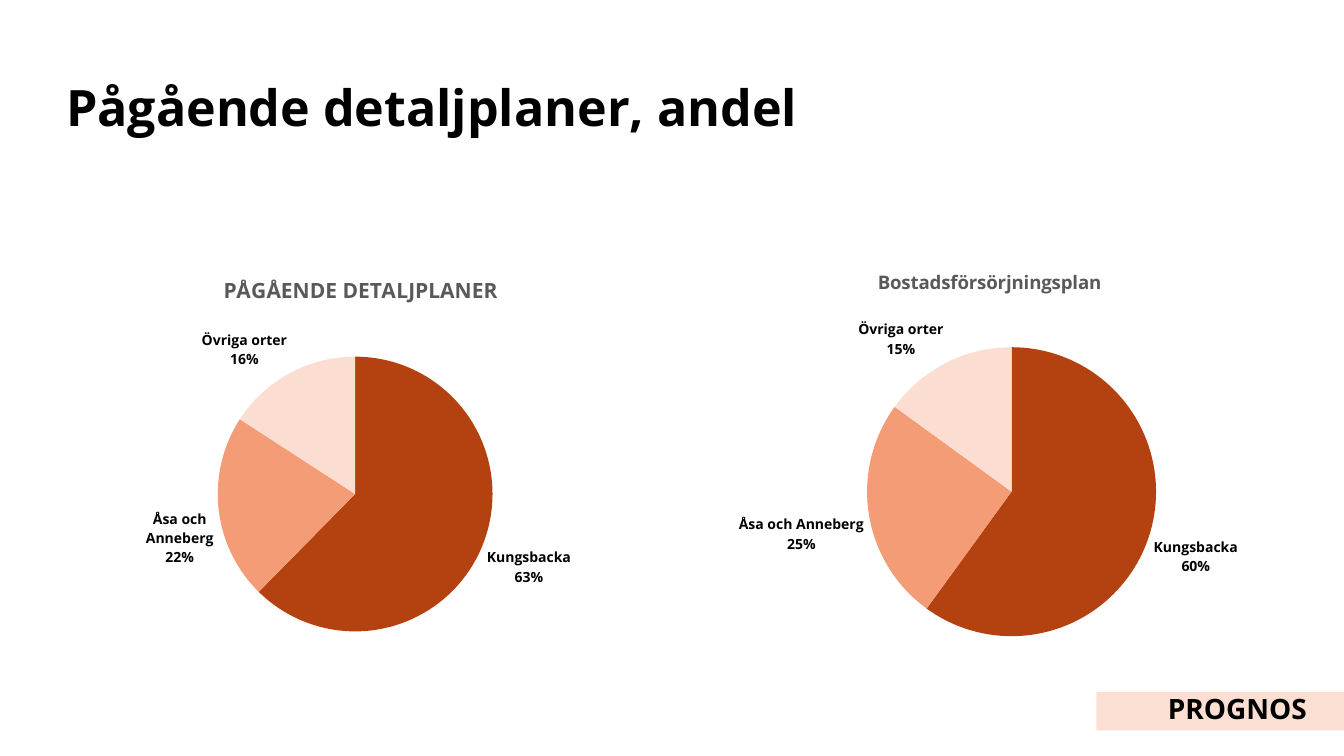
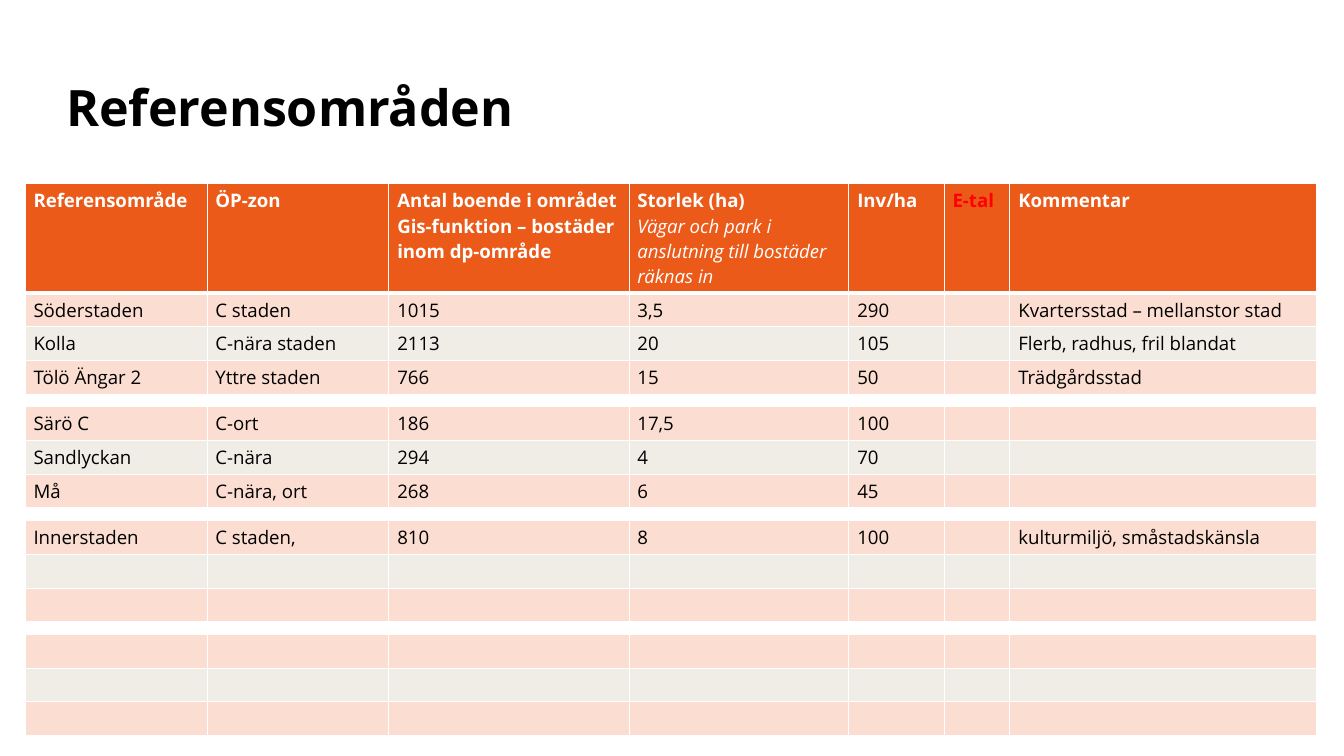
from dataclasses import dataclass

from lxml.etree import SubElement
from pptx import Presentation
from pptx.chart.data import CategoryChartData
from pptx.dml.color import RGBColor
from pptx.enum.chart import XL_CHART_TYPE, XL_LABEL_POSITION
from pptx.enum.shapes import MSO_SHAPE
from pptx.enum.text import MSO_ANCHOR, PP_ALIGN
from pptx.oxml import parse_xml
from pptx.oxml.ns import nsdecls, qn
from pptx.util import Cm, Pt


@dataclass(frozen=True)
class Theme:
    font: str = "Open Sans"
    black: str = "000000"
    white: str = "FFFFFF"
    grey: str = "595959"
    red: str = "FF0000"
    orange: str = "EB5A19"
    blush: str = "FBDED1"
    sand: str = "F0ECE6"
    banner: str = "F7BDA3"
    slices: tuple[str, ...] = ("B34210", "F39C75", "FBDED1")
    title_size: int = 43
    banner_size: int = 24
    table_size: int = 16
    label_size: int = 12
    gap_size: int = 4


@dataclass(frozen=True)
class Pie:
    """A pie chart; all lengths are centimetres on the slide."""
    title: str
    title_size: int
    percentages: tuple[int, ...]
    frame: tuple[float, float, float, float]
    title_at: tuple[float, float]
    centre: tuple[float, float]
    diameter: float


@dataclass(frozen=True)
class Column:
    heading: str
    width: float
    note: str = ""
    color: str = Theme.white


THEME = Theme()
AREAS = ("Kungsbacka", "Åsa och Anneberg", "Övriga orter")
PIES = (
    Pie("PÅGÅENDE DETALJPLANER", 18, (63, 22, 16), (1.5, 7.77, 18.82, 11.66),
        (6.65, 8.14), (10.74, 14.94), 8.31),
    Pie("Bostadsförsörjningsplan", 16, (60, 25, 15), (19.69, 7.65, 20.5, 11.94),
        (26.44, 8.01), (30.59, 14.87), 8.74),
)
COLUMNS = (
    Column("Referensområde", 5.5),
    Column("ÖP-zon", 5.5),
    Column("Antal boende i området\nGis-funktion – bostäder inom dp-område", 7.26),
    Column("Storlek (ha)", 6.65, note="Vägar och park i anslutning till bostäder räknas in"),
    Column("Inv/ha", 2.88),
    Column("E-tal", 1.99, color=THEME.red),
    Column("Kommentar", 9.28),
)
EMPTY_ROW = ("",) * len(COLUMNS)
AREA_GROUPS = (
    (
        ("Söderstaden", "C staden", "1015", "3,5", "290", "", "Kvartersstad – mellanstor stad"),
        ("Kolla", "C-nära staden", "2113", "20", "105", "", "Flerb, radhus, fril blandat"),
        ("Tölö Ängar 2", "Yttre staden", "766", "15", "50", "", "Trädgårdsstad"),
    ),
    (
        ("Särö C", "C-ort", "186", "17,5", "100", "", ""),
        ("Sandlyckan", "C-nära", "294", "4", "70", "", ""),
        ("Må", "C-nära, ort", "268", "6", "45", "", ""),
    ),
    (
        ("Innerstaden", "C staden,", "810", "8", "100", "", "kulturmiljö, småstadskänsla"),
        EMPTY_ROW,
        EMPTY_ROW,
    ),
    (EMPTY_ROW,) * 3,
)
HEADER_HEIGHT, ROW_HEIGHT, GAP_HEIGHT = 3.3, 1.02, 0.38


def set_font(font, size: int, color: str, bold: bool = False, italic: bool = False) -> None:
    font.name = THEME.font
    font.size = Pt(size)
    font.bold = bold
    font.italic = italic
    font.color.rgb = RGBColor.from_string(color)


def set_fill(fill, color: str) -> None:
    fill.solid()
    fill.fore_color.rgb = RGBColor.from_string(color)


def add_page(deck, title: str):
    page = deck.slides.add_slide(deck.slide_layouts[6])
    box = page.shapes.add_textbox(Cm(1.75), Cm(1.55), Cm(33.22), Cm(3.58))
    box.text_frame.word_wrap = True
    box.text_frame.vertical_anchor = MSO_ANCHOR.MIDDLE
    para = box.text_frame.paragraphs[0]
    para.text = title
    para.line_spacing = 0.9
    set_font(para.font, THEME.title_size, THEME.black, bold=True)
    return page


def place_in_chart(element, fractions: dict[str, float], inner: bool = False) -> None:
    """Give a chart title or plot area a fixed place, as fractions of the chart."""
    for old in element.findall(qn("c:layout")):
        element.remove(old)
    layout = parse_xml(f"<c:layout {nsdecls('c')}><c:manualLayout/></c:layout>")
    settings = {"layoutTarget": "inner"} if inner else {}
    settings |= {"xMode": "edge", "yMode": "edge"}
    settings |= {name: f"{value:.4f}" for name, value in fractions.items()}
    for name, value in settings.items():
        SubElement(layout[0], qn(f"c:{name}")).set("val", value)
    text = element.find(qn("c:tx"))
    if text is None:
        element.insert(0, layout)
    else:
        text.addnext(layout)


def add_pie(page, pie: Pie) -> None:
    data = CategoryChartData()
    data.categories = AREAS
    data.add_series(pie.title, pie.percentages)
    left, top, width, height = pie.frame
    chart = page.shapes.add_chart(
        XL_CHART_TYPE.PIE, Cm(left), Cm(top), Cm(width), Cm(height), data).chart
    chart.has_legend = False
    set_font(chart.font, THEME.label_size, THEME.black)

    chart.has_title = True
    para = chart.chart_title.text_frame.paragraphs[0]
    para.text = pie.title
    set_font(para.font, pie.title_size, THEME.grey, bold=True)
    chart.chart_title.include_in_layout = False
    title_left, title_top = pie.title_at
    place_in_chart(chart.chart_title._element,
                   {"x": (title_left - left) / width, "y": (title_top - top) / height})

    plot = chart.plots[0]
    plot.vary_by_categories = True
    for index, color in enumerate(THEME.slices):
        set_fill(plot.series[0].points[index].format.fill, color)
    plot.has_data_labels = True
    labels = plot.data_labels
    labels.show_category_name = True
    labels.show_percentage = False
    labels.show_value = True
    labels.number_format = '0"%"'
    labels.number_format_is_linked = False
    labels.position = XL_LABEL_POSITION.OUTSIDE_END
    set_font(labels.font, THEME.label_size, THEME.black, bold=True)
    separator = parse_xml(f"<c:separator {nsdecls('c')}>\n</c:separator>")
    labels._element.find(qn("c:showBubbleSize")).addnext(separator)

    centre_x, centre_y = pie.centre
    radius = pie.diameter / 2
    place_in_chart(chart._chartSpace.chart.plotArea, {
        "x": (centre_x - radius - left) / width,
        "y": (centre_y - radius - top) / height,
        "w": pie.diameter / width,
        "h": pie.diameter / height,
    }, inner=True)


def add_banner(page, text: str) -> None:
    banner = page.shapes.add_shape(
        MSO_SHAPE.RECTANGLE, Cm(33.15), Cm(20.93), Cm(7.49), Cm(1.16))
    banner.shadow.inherit = False
    banner.line.fill.background()
    set_fill(banner.fill, THEME.banner)
    color = banner._element.spPr.find(f"{qn('a:solidFill')}/{qn('a:srgbClr')}")
    SubElement(color, qn("a:alpha")).set("val", "47000")
    frame = banner.text_frame
    frame.margin_right = Cm(1.12)
    frame.vertical_anchor = MSO_ANCHOR.MIDDLE
    para = frame.paragraphs[0]
    para.text = text
    para.alignment = PP_ALIGN.RIGHT
    para.line_spacing = 0.8
    set_font(para.font, THEME.banner_size, THEME.black, bold=True)


def add_bottom_border(cell, points: int) -> None:
    """Draw a white rule below a cell; call it before the cell is filled."""
    border = SubElement(cell._tc.get_or_add_tcPr(), qn("a:lnB"))
    border.set("w", str(Pt(points)))
    fill = SubElement(border, qn("a:solidFill"))
    SubElement(fill, qn("a:srgbClr")).set("val", THEME.white)


def fill_header(cell, column: Column) -> None:
    add_bottom_border(cell, 3)
    set_fill(cell.fill, THEME.orange)
    frame = cell.text_frame
    frame.text = column.heading
    for para in frame.paragraphs:
        set_font(para.font, THEME.table_size, column.color, bold=True)
    if column.note:
        para = frame.add_paragraph()
        para.text = column.note
        set_font(para.font, THEME.table_size, column.color, italic=True)


def fill_cell(cell, text: str, color: str, size: int) -> None:
    set_fill(cell.fill, color)
    para = cell.text_frame.paragraphs[0]
    if text:
        para.text = text
        set_font(para.font, size, THEME.black)
    else:
        para._p.get_or_add_endParaRPr().set("sz", str(size * 100))


def add_area_table(page) -> None:
    rows = []
    for group in AREA_GROUPS:
        if rows:
            rows.append((EMPTY_ROW, THEME.white))
        for index, texts in enumerate(group):
            rows.append((texts, THEME.sand if index % 2 else THEME.blush))
    width = sum(column.width for column in COLUMNS)
    table = page.shapes.add_table(
        len(rows) + 1, len(COLUMNS), Cm(0.76), Cm(5.56), Cm(width), Cm(HEADER_HEIGHT)).table
    table.rows[0].height = Cm(HEADER_HEIGHT)
    for index, column in enumerate(COLUMNS):
        table.columns[index].width = Cm(column.width)
        fill_header(table.cell(0, index), column)
    for row, (texts, color) in zip(list(table.rows)[1:], rows):
        is_gap = color == THEME.white
        row.height = Cm(GAP_HEIGHT if is_gap else ROW_HEIGHT)
        for cell, text in zip(row.cells, texts):
            fill_cell(cell, text, color, THEME.gap_size if is_gap else THEME.table_size)
            if is_gap:
                cell.margin_top = cell.margin_bottom = 0


def main() -> None:
    deck = Presentation()
    deck.slide_width, deck.slide_height = Cm(40.64), Cm(22.86)

    shares = add_page(deck, "Pågående detaljplaner, andel")
    for pie in PIES:
        add_pie(shares, pie)
    add_banner(shares, "PROGNOS")

    areas = add_page(deck, "Referensområden")
    add_area_table(areas)

    deck.save("out.pptx")


if __name__ == "__main__":
    main()
